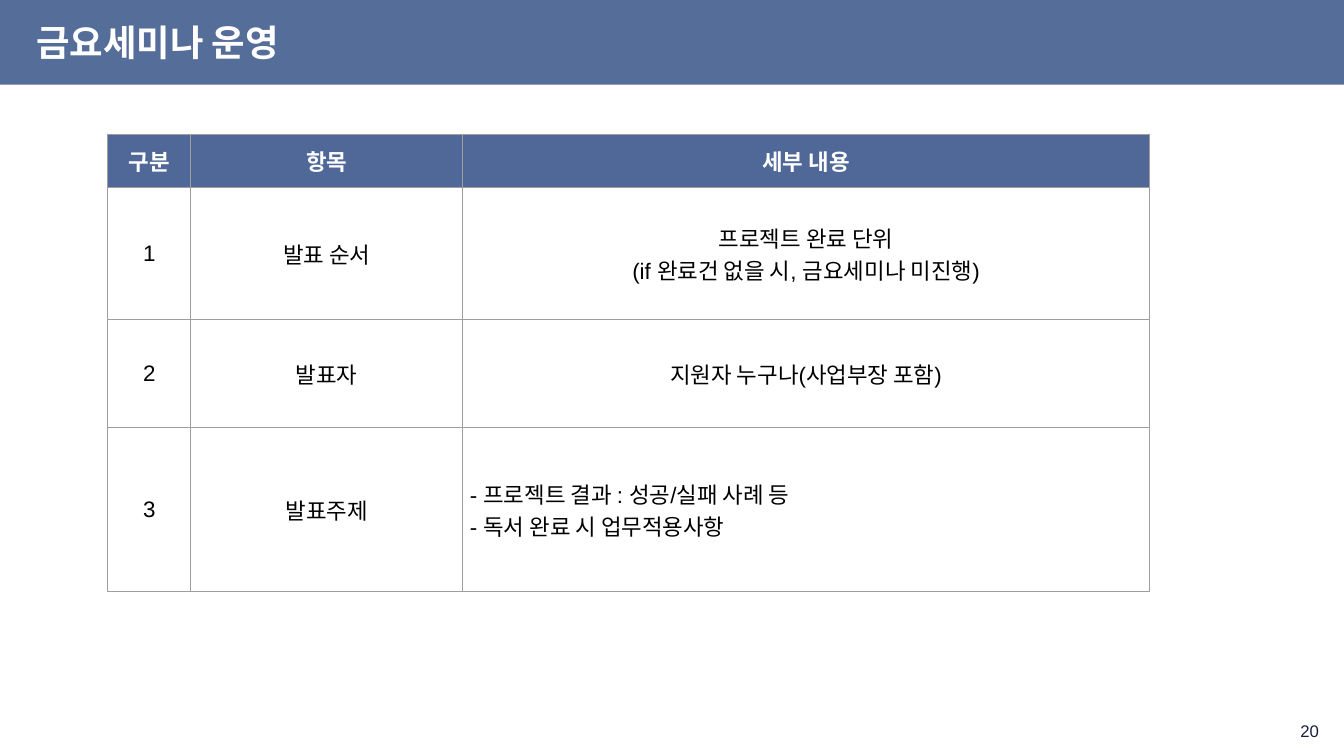
from lxml.etree import SubElement
from pptx import Presentation
from pptx.dml.color import RGBColor
from pptx.enum.shapes import MSO_SHAPE
from pptx.enum.text import MSO_ANCHOR, PP_ALIGN
from pptx.oxml.ns import qn
from pptx.util import Emu, Pt

EMU_PER_PX = 9144  # 100 px to the inch
FONT = "Arial"
COLORS = {
    "banner": "546D99",
    "header": "4F6898",
    "white": "FFFFFF",
    "black": "000000",
    "border": "9E9E9E",
    "page": "1B1E3D",
}
COLUMN_WIDTHS = [82, 270, 681]
ROW_HEIGHTS = [53, 131, 107, 163]
CELL_MARGIN = 7
ROWS = [
    ["구분", "항목", "세부 내용"],
    ["1", "발표 순서", "프로젝트 완료 단위\n(if 완료건 없을 시, 금요세미나 미진행)"],
    ["2", "발표자", "지원자 누구나(사업부장 포함)"],
    ["3", "발표주제", "- 프로젝트 결과 : 성공/실패 사례 등\n- 독서 완료 시 업무적용사항"],
]


def px(length):
    return Emu(length * EMU_PER_PX)


def rgb(name):
    return RGBColor.from_string(COLORS[name])


def write_text(frame, text, size, color, align, bold=False, line_spacing=None):
    frame.text = text
    for paragraph in frame.paragraphs:
        paragraph.alignment = align
        paragraph.line_spacing = line_spacing
        for run in paragraph.runs:
            run.font.name = FONT
            run.font.size = Pt(size)
            run.font.bold = bold
            run.font.color.rgb = rgb(color)


def add_banner(slide, width, height):
    banner = slide.shapes.add_shape(MSO_SHAPE.RECTANGLE, 0, 0, px(width), px(height))
    banner.shadow.inherit = False
    banner.fill.solid()
    banner.fill.fore_color.rgb = rgb("banner")
    banner.line.fill.background()


def add_label(slide, box, text, size, color, align, **style):
    frame = slide.shapes.add_textbox(*map(px, box)).text_frame
    frame.word_wrap = True
    frame.vertical_anchor = MSO_ANCHOR.MIDDLE
    write_text(frame, text, size, color, align, **style)


def add_borders(cell):
    properties = cell._tc.get_or_add_tcPr()
    for side in ("a:lnL", "a:lnR", "a:lnT", "a:lnB"):
        border = SubElement(properties, qn(side), w=str(Pt(0.75)))
        fill = SubElement(border, qn("a:solidFill"))
        SubElement(fill, qn("a:srgbClr"), val=COLORS["border"])


def fill_cell(cell, text, is_header):
    add_borders(cell)
    cell.fill.solid()
    cell.fill.fore_color.rgb = rgb("header" if is_header else "white")
    cell.vertical_anchor = MSO_ANCHOR.MIDDLE
    cell.margin_left = cell.margin_right = px(CELL_MARGIN)
    cell.margin_top = cell.margin_bottom = px(CELL_MARGIN)
    align = PP_ALIGN.LEFT if text.startswith("-") else PP_ALIGN.CENTER
    write_text(cell.text_frame, text, 16, "white" if is_header else "black",
               align, bold=is_header)


def add_seminar_table(slide, left, top):
    table = slide.shapes.add_table(
        len(ROWS), len(COLUMN_WIDTHS), px(left), px(top),
        px(sum(COLUMN_WIDTHS)), px(sum(ROW_HEIGHTS))).table
    for column, width in zip(table.columns, COLUMN_WIDTHS):
        column.width = px(width)
    for index, (row, height) in enumerate(zip(table.rows, ROW_HEIGHTS)):
        row.height = px(height)
        for cell, text in zip(row.cells, ROWS[index]):
            fill_cell(cell, text, is_header=index == 0)


def main():
    deck = Presentation()
    deck.slide_width, deck.slide_height = px(1333), px(750)
    slide = deck.slides.add_slide(deck.slide_layouts[6])
    add_banner(slide, 1333, 84)
    add_label(slide, (26, 10, 1282, 69), "금요세미나 운영", 26, "white",
              PP_ALIGN.LEFT, bold=True, line_spacing=0.9)
    add_label(slide, (1018, 709, 300, 33), "20", 12, "page", PP_ALIGN.RIGHT)
    add_seminar_table(slide, 107, 133)
    deck.save("out.pptx")


if __name__ == "__main__":
    main()
